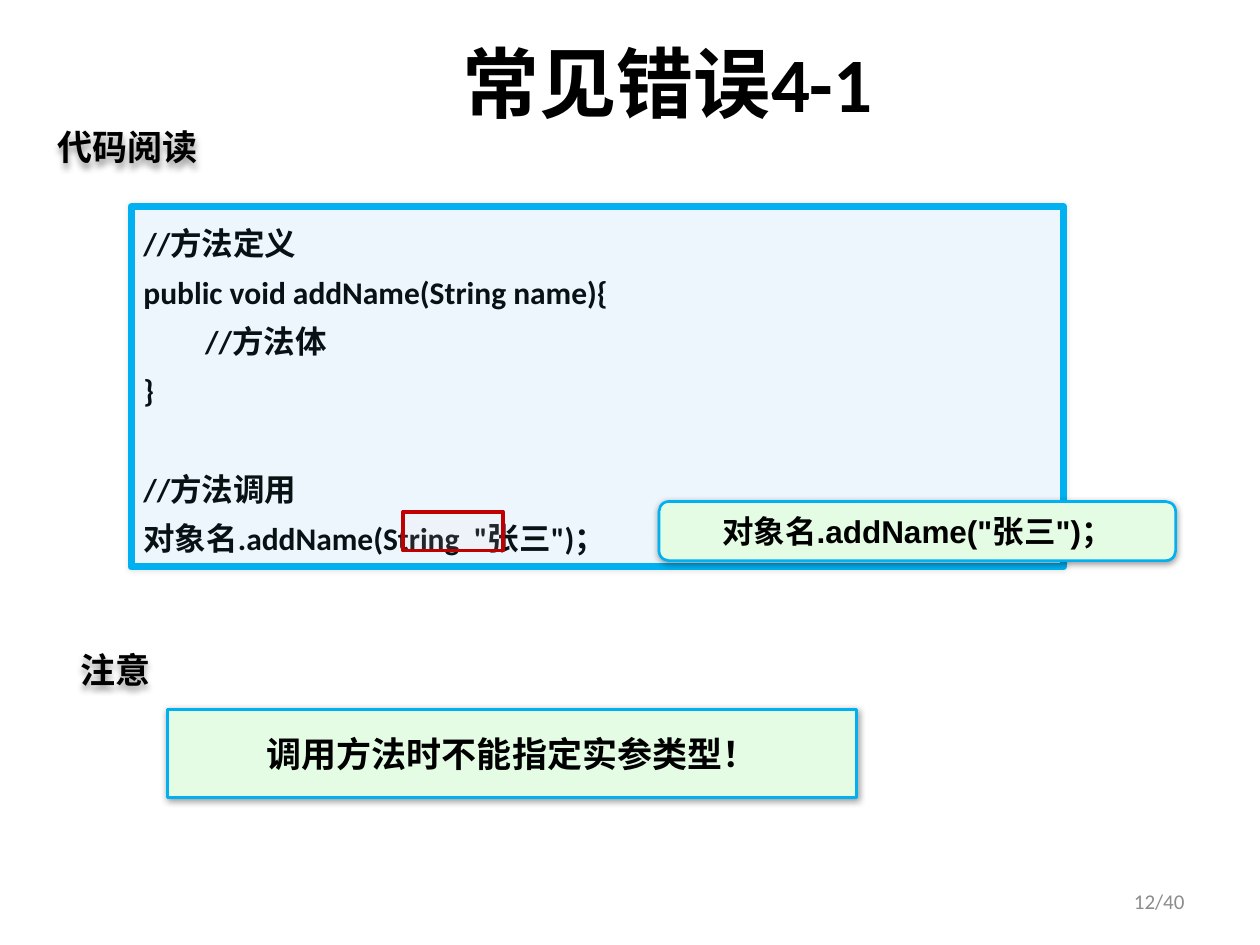
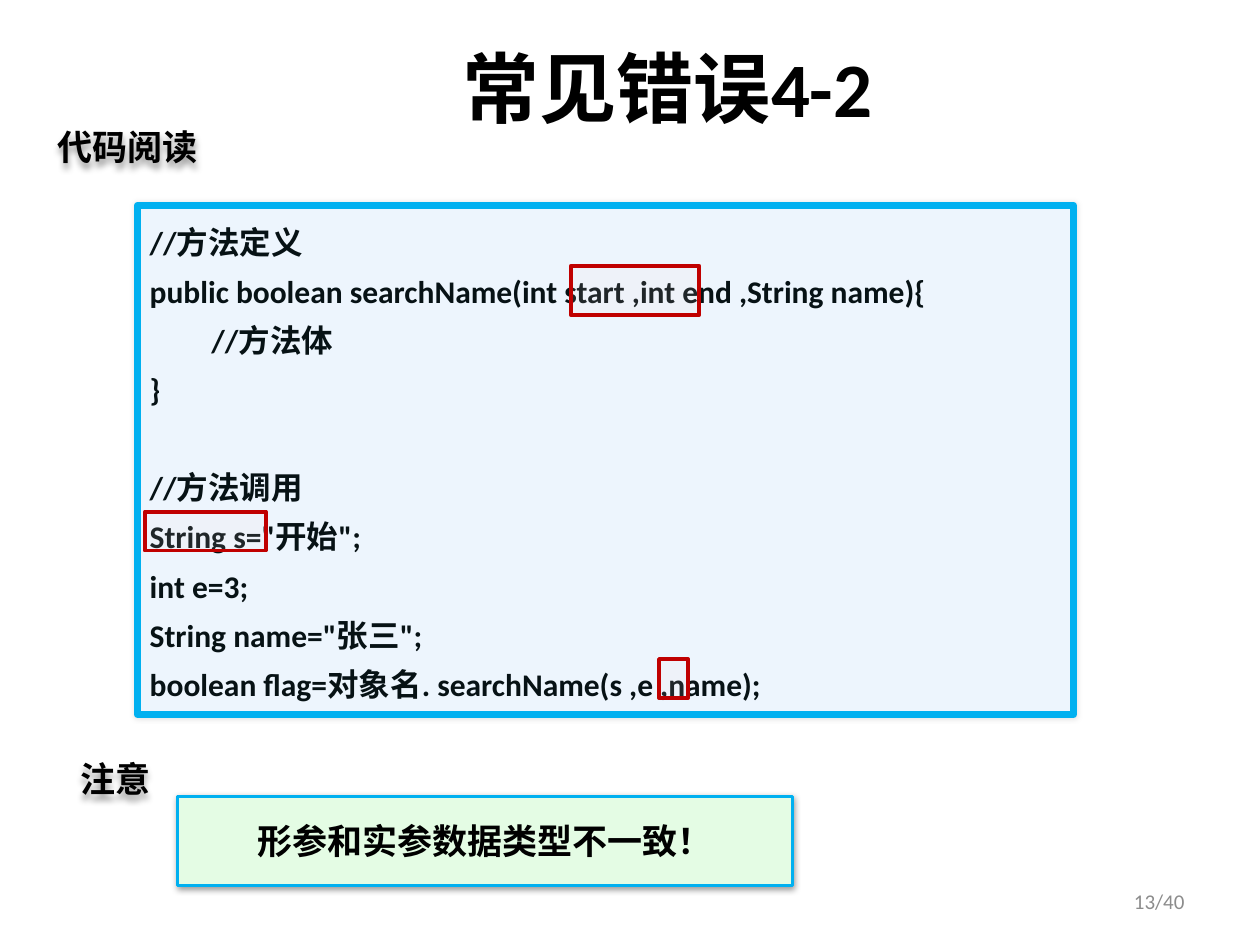
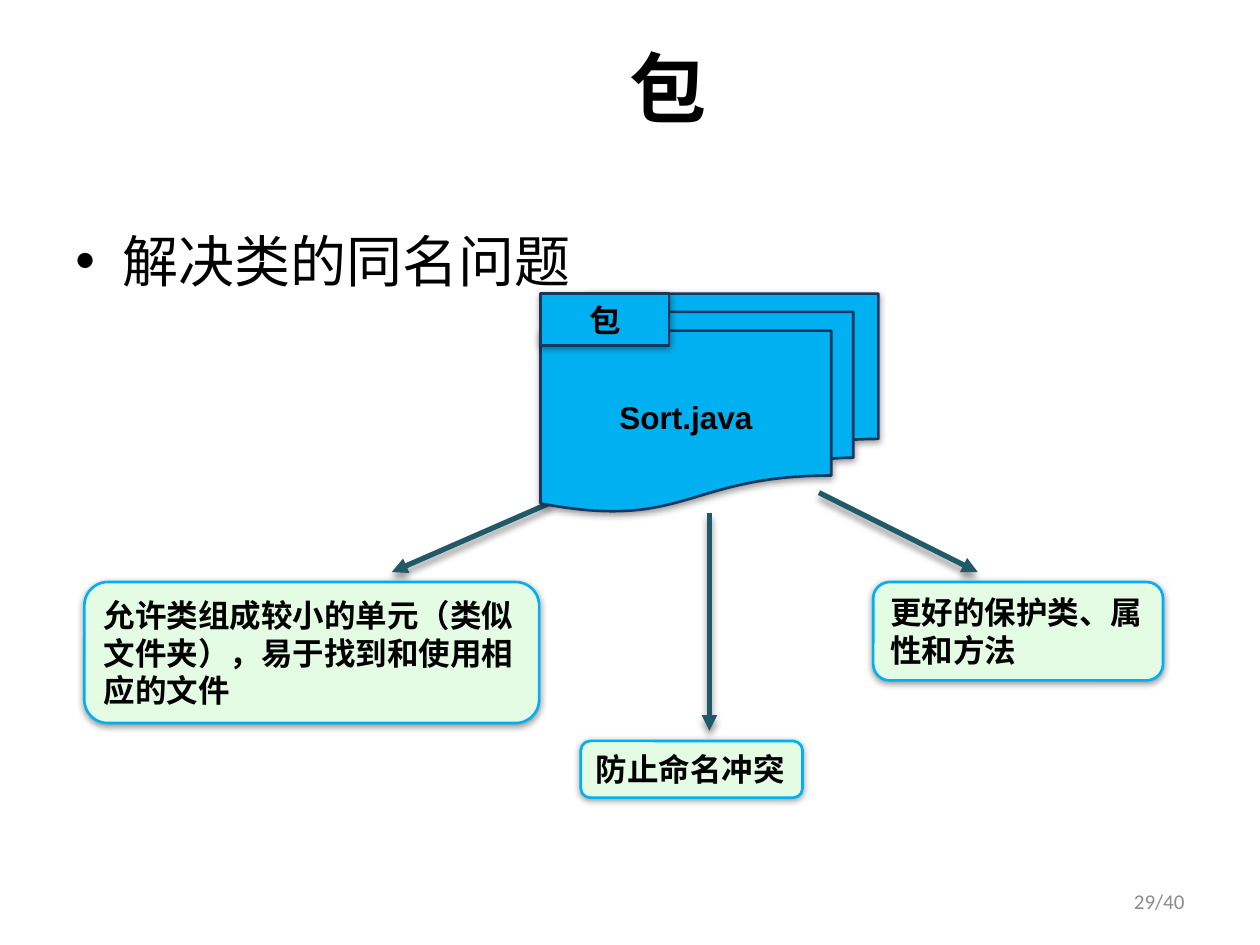
from dataclasses import dataclass

from lxml.etree import SubElement
from pptx import Presentation
from pptx.dml.color import RGBColor
from pptx.enum.shapes import MSO_CONNECTOR, MSO_SHAPE
from pptx.enum.text import MSO_ANCHOR, PP_ALIGN
from pptx.oxml.ns import qn
from pptx.util import Pt

# ---- Content (places are left, top, width, height in points) ----
PAGE_TOTAL = 40
ERROR_SLIDES = [
    dict(
        title="常见错误4-1", title_top=16.6, page=12,
        code_box=(74.9, 118.1, 532.8, 205.9),
        definition=["//方法定义", "public void addName(String name){", "\t//方法体", "}"],
        call=["//方法调用", '对象名.addName(String  "张三")；'],
        marks=[(230.4, 292.3, 56.9, 22.3)],
        correction='对象名.addName("张三")；',
        label_top=366.5,
        note="调用方法时不能指定实参类型！", note_box=(95.8, 405.4, 393.8, 50.4),
    ),
    dict(
        title="常见错误4-2", title_top=19.4, page=13,
        code_box=(78.5, 117.4, 535, 290.9),
        definition=["//方法定义",
                    "public boolean searchName(int start ,int end ,String name){",
                    "\t//方法体", "}"],
        call=["//方法调用", 'String s="开始";', "int e=3;", 'String name="张三";',
              "boolean flag=对象名. searchName(s ,e ,name);"],
        marks=[(376.6, 376.6, 16.6, 22.3), (82.8, 292.3, 69.1, 22.3),
               (326.2, 151.9, 73.4, 28.1)],
        correction=None,
        label_top=429.1,
        note="形参和实参数据类型不一致！", note_box=(101.5, 455, 351.4, 51.1),
    ),
]
PACKAGE_SLIDE = dict(
    title="包", title_top=19.4, page=29, bullet="解决类的同名问题",
    file="Sort.java", tab="包",
    # benefit lines, box, arrow start, arrow end
    benefits=[
        (["允许类组成较小的单元（类似", "文件夹），易于找到和使用相", "应的文件"],
         (48.2, 332.6, 259.9, 80.6), (314.6, 287.3), (223.9, 326.9)),
        (["防止命名冲突"],
         (331.9, 423.4, 126.7, 32.4), (405.4, 293), (405.4, 417.6)),
        (["更好的保护类、属", "性和方法"],
         (499, 332.6, 165.6, 56.2), (468, 281.5), (558.7, 326.9)),
    ],
)


# ---- Theme ----
@dataclass(frozen=True)
class Theme:
    black: str = "000000"
    code_ink: str = "071215"
    code_fill: str = "EDF5FD"
    callout_fill: str = "E4FCE4"
    mark_fill: str = "FFDDDD"
    mark_line: str = "C00000"
    accent: str = "00B0F0"
    package_line: str = "17375E"
    arrow: str = "215968"
    page_ink: str = "8C8C8C"
    heading_font: str = "Calibri"
    callout_font: str = "Arial"
    chinese_font: str = "Noto Sans CJK SC"
    title_size: int = 44
    bullet_size: int = 32
    label_size: int = 20
    text_size: int = 18
    page_size: int = 12
    code_spacing: float = 1.3
    code_gap: int = 28
    code_indent: float = 35.3


theme = Theme()
SOFT_SHADOW = dict(alpha=40, blur=4, distance=1, angle=90)
LOW_SHADOW = dict(alpha=40, blur=4, distance=3, angle=90)
CODE_SHADOW = dict(alpha=10, blur=3, distance=0, angle=0)


# ---- Helpers ----
def points(values):
    return [Pt(value) for value in values]


def set_shadow(properties, alpha, blur, distance, angle):
    effects = properties.find(qn("a:effectLst"))
    if effects is None:
        effects = SubElement(properties, qn("a:effectLst"))
    shadow = SubElement(effects, qn("a:outerShdw"), blurRad=str(Pt(blur)),
                        dist=str(Pt(distance)), dir=str(angle * 60000), rotWithShape="0")
    color = SubElement(shadow, qn("a:srgbClr"), val=theme.black)
    SubElement(color, qn("a:alpha"), val=str(alpha * 1000))


def write_text(shape, lines, *, size=theme.text_size, font=theme.callout_font,
               color=theme.black, bold=True, align=PP_ALIGN.LEFT,
               anchor=MSO_ANCHOR.MIDDLE, spacing=None, wrap=True):
    """Write one paragraph per line and return the paragraphs."""
    frame = shape.text_frame
    frame.word_wrap = wrap
    frame.vertical_anchor = anchor
    for index, line in enumerate(lines):
        paragraph = frame.add_paragraph() if index else frame.paragraphs[0]
        paragraph.alignment = align
        paragraph.line_spacing = spacing
        run = paragraph.add_run()
        run.text = line
        run.font.size, run.font.bold, run.font.name = Pt(size), bold, font
        run.font.color.rgb = RGBColor.from_string(color)
        SubElement(run.font._element, qn("a:ea"), typeface=theme.chinese_font)
    return frame.paragraphs


def add_box(slide, place, kind=MSO_SHAPE.ROUNDED_RECTANGLE, *, fill=theme.callout_fill,
            line=theme.accent, width=1.5, corner=None, opacity=None, shadow=SOFT_SHADOW):
    shape = slide.shapes.add_shape(kind, *points(place))
    if corner is not None:
        shape.adjustments[0] = corner
    shape.fill.solid()
    shape.fill.fore_color.rgb = RGBColor.from_string(fill)
    if opacity is not None:
        color = shape._element.spPr.find(qn("a:solidFill"))[0]
        SubElement(color, qn("a:alpha"), val=str(opacity * 1000))
    shape.line.color.rgb = RGBColor.from_string(line)
    shape.line.width = Pt(width)
    shape.shadow.inherit = False
    if shadow:
        set_shadow(shape._element.spPr, **shadow)
    return shape


def add_label(slide, text, place):
    label = slide.shapes.add_textbox(*points(place))
    write_text(label, [text], size=theme.label_size, font=theme.chinese_font,
               align=PP_ALIGN.CENTER, wrap=False)
    set_shadow(label._element.spPr, **LOW_SHADOW)


def add_arrow(slide, start, end):
    arrow = slide.shapes.add_connector(MSO_CONNECTOR.STRAIGHT, *points(start + end))
    arrow.line.color.rgb = RGBColor.from_string(theme.arrow)
    arrow.line.width = Pt(3)
    SubElement(arrow._element.spPr.find(qn("a:ln")), qn("a:tailEnd"), type="triangle")
    set_shadow(arrow._element.spPr, **LOW_SHADOW)


def start_slide(content):
    """Add a slide with the shared title and page number."""
    slide = presentation.slides.add_slide(presentation.slide_layouts[6])
    title = slide.shapes.add_textbox(*points((57.6, content["title_top"], 648, 70.6)))
    write_text(title, [content["title"]], size=theme.title_size, font=theme.heading_font,
               align=PP_ALIGN.CENTER, anchor=MSO_ANCHOR.TOP)
    number = slide.shapes.add_textbox(*points((516.2, 500.4, 167.8, 28.8)))
    write_text(number, [f"{content['page']}/{PAGE_TOTAL}"], size=theme.page_size,
               font=theme.heading_font, color=theme.page_ink, bold=False,
               align=PP_ALIGN.RIGHT)
    return slide


def add_code(slide, content):
    box = add_box(slide, content["code_box"], fill=theme.code_fill, width=4, corner=0,
                  shadow=CODE_SHADOW)
    lines = content["definition"] + content["call"]
    paragraphs = write_text(box, [line.strip() for line in lines], font=theme.heading_font,
                            color=theme.code_ink, anchor=MSO_ANCHOR.TOP,
                            spacing=theme.code_spacing)
    for line, paragraph in zip(lines, paragraphs):
        if line.startswith("\t"):
            paragraph._p.get_or_add_pPr().set("marL", str(Pt(theme.code_indent)))
    paragraphs[len(content["definition"])].space_before = Pt(theme.code_gap)


# ---- Slides on common errors ----
def build_error_slide(content):
    slide = start_slide(content)
    add_code(slide, content)
    note = add_box(slide, content["note_box"], corner=0)
    write_text(note, [content["note"]], size=theme.label_size, align=PP_ALIGN.CENTER)
    for place in content["marks"]:
        add_box(slide, place, MSO_SHAPE.RECTANGLE, fill=theme.mark_fill,
                line=theme.mark_line, width=2.25, opacity=10, shadow=None)
    if content["correction"]:
        correction = add_box(slide, (376.6, 286.6, 295.2, 33.8))
        write_text(correction, [content["correction"]], align=PP_ALIGN.CENTER)
    add_label(slide, "代码阅读", (25.2, 67.7, 95.8, 31.7))
    add_label(slide, "注意", (38.2, content["label_top"], 55.4, 31.7))


# ---- Slide on packages ----
def build_package_slide(content):
    slide = start_slide(content)
    body = slide.shapes.add_textbox(*points((36, 126, 648, 356.4)))
    paragraph = write_text(body, [content["bullet"]], size=theme.bullet_size,
                           font=theme.heading_font, bold=False, anchor=MSO_ANCHOR.TOP)[0]
    properties = paragraph._p.get_or_add_pPr()
    properties.set("marL", str(Pt(27)))
    properties.set("indent", str(Pt(-27)))
    SubElement(properties, qn("a:buFont"), typeface="Arial")
    SubElement(properties, qn("a:buChar"), char="•")

    for _, _, start, end in content["benefits"]:
        add_arrow(slide, start, end)
    for lines, place, _, _ in content["benefits"]:
        write_text(add_box(slide, place), lines)

    left, top = 308.9, 167.8
    for kind, size, text in [
        (MSO_SHAPE.FLOWCHART_MULTIDOCUMENT, (193, 124.6), content["file"]),
        (MSO_SHAPE.RECTANGLE, (73.4, 29.5), content["tab"]),
    ]:
        part = add_box(slide, (left, top) + size, kind, fill=theme.accent,
                       line=theme.package_line)
        write_text(part, [text], align=PP_ALIGN.CENTER)


presentation = Presentation()
presentation.slide_width, presentation.slide_height = Pt(720), Pt(540)
for error in ERROR_SLIDES:
    build_error_slide(error)
build_package_slide(PACKAGE_SLIDE)
presentation.save("out.pptx")
